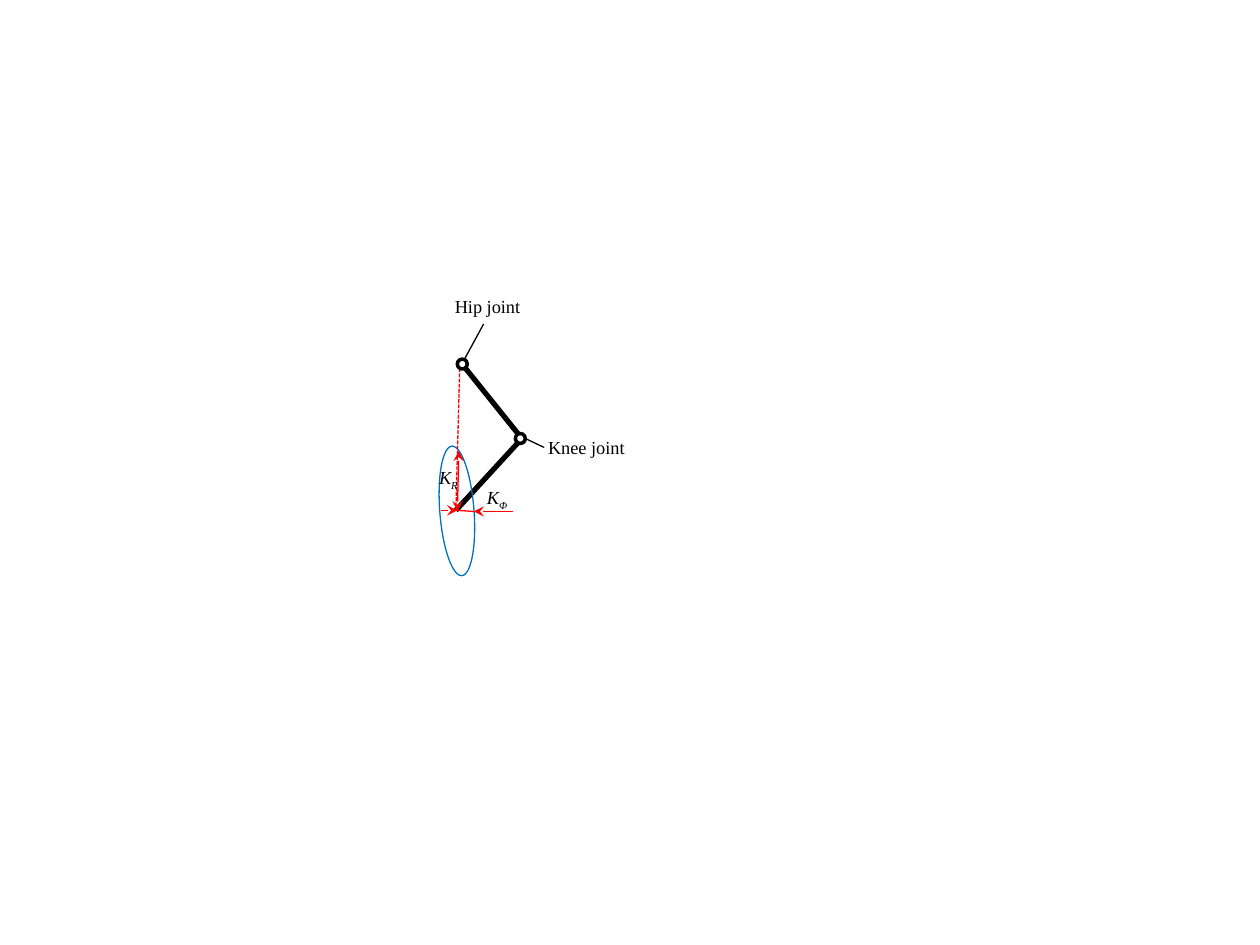
from dataclasses import dataclass
from typing import Optional

from lxml.etree import SubElement
from pptx import Presentation
from pptx.dml.color import RGBColor
from pptx.enum.dml import MSO_LINE as Dash
from pptx.enum.shapes import MSO_CONNECTOR as Connector, MSO_SHAPE as Shape
from pptx.enum.text import MSO_ANCHOR as Anchor, MSO_AUTO_SIZE as AutoSize, PP_ALIGN as Align
from pptx.oxml.ns import qn
from pptx.util import Cm, Pt

Point = tuple[float, float]


@dataclass(frozen=True)
class Theme:
    black: RGBColor = RGBColor(0, 0, 0)
    white: RGBColor = RGBColor(255, 255, 255)
    red: RGBColor = RGBColor(255, 0, 0)
    blue: RGBColor = RGBColor(0, 0x70, 0xC0)
    font: str = "Times New Roman"
    text_size: float = 10.5
    thin: float = 0.75
    joint_line: float = 2
    bone_line: float = 3


THEME = Theme()


@dataclass(frozen=True)
class Line:
    start: Point
    end: Point
    color: RGBColor = THEME.black
    width: float = THEME.thin
    dashed: bool = False
    arrows: tuple[str, ...] = ()


@dataclass(frozen=True)
class Oval:
    center: Point
    size: Point
    color: RGBColor
    width: float
    fill: Optional[RGBColor] = None
    rotation: float = 0


@dataclass(frozen=True)
class Label:
    text: str
    corner: Point
    size: Point
    inset: float = 0.08
    subscript: str = ""


def draw_line(page, item: Line) -> None:
    ends = [Cm(value) for value in item.start + item.end]
    line = page.shapes.add_connector(Connector.STRAIGHT, *ends)
    line.line.color.rgb = item.color
    line.line.width = Pt(item.width)
    if item.dashed:
        line.line.dash_style = Dash.SQUARE_DOT
    properties = line._element.spPr
    outline = properties.find(qn("a:ln"))
    for arrow in item.arrows:
        SubElement(outline, qn(f"a:{arrow}End"), type="stealth")
    SubElement(properties, qn("a:effectLst"))


def draw_oval(page, item: Oval) -> None:
    (x, y), (width, height) = item.center, item.size
    oval = page.shapes.add_shape(
        Shape.OVAL, Cm(x - width / 2), Cm(y - height / 2), Cm(width), Cm(height))
    oval.shadow.inherit = False
    oval.rotation = item.rotation
    oval.line.color.rgb = item.color
    oval.line.width = Pt(item.width)
    if item.fill is None:
        oval.fill.background()
    else:
        oval.fill.solid()
        oval.fill.fore_color.rgb = item.fill


def draw_label(page, item: Label) -> None:
    box = page.shapes.add_textbox(*[Cm(value) for value in item.corner + item.size])
    frame = box.text_frame
    frame.word_wrap = False
    frame.auto_size = AutoSize.SHAPE_TO_FIT_TEXT
    symbol = bool(item.subscript)
    frame.margin_left = Cm(item.inset)
    frame.margin_right = Cm(item.inset if symbol else 0)
    frame.margin_top = frame.margin_bottom = Cm(0 if symbol else 0.13)
    frame.vertical_anchor = Anchor.MIDDLE if symbol else Anchor.TOP
    para = frame.paragraphs[0]
    para.alignment = Align.CENTER if symbol else Align.LEFT
    para.font.name = THEME.font
    para.font.size = Pt(THEME.text_size)
    para.font.color.rgb = THEME.black
    para.font.italic = symbol
    para.add_run().text = item.text
    if symbol:
        span = para.add_run()
        span.text = item.subscript
        span._r.get_or_add_rPr().set("baseline", "-25000")


HIP: Point = (9.3, 7.32)
KNEE: Point = (10.52, 8.84)
FOOT: Point = (9.19, 10.29)
FOOT_SIDE: Point = (9.22, 10.29)
ELLIPSE_SIDE: Point = (9.55, 10.31)

BONES = [Line(joint, KNEE, width=THEME.bone_line) for joint in (HIP, FOOT)]
STIFFNESS_ELLIPSE = Oval((9.21, 10.3), (0.69, 2.62), THEME.blue, THEME.thin, rotation=355.6)
STIFFNESS_LINES = [
    Line((9.27, 7.32), FOOT, THEME.red, dashed=True),
    Line((9.25, 9.09), (9.22, 10.31), THEME.red, arrows=("head", "tail")),
    Line(ELLIPSE_SIDE, FOOT_SIDE, THEME.red),
    Line((10.34, 10.31), ELLIPSE_SIDE, THEME.red, arrows=("tail",)),
    Line(FOOT_SIDE, (8.89, 10.29), THEME.red, arrows=("head",)),
]
LABELS = [
    Label("K", (9.73, 9.83), (0.58, 0.46), subscript="Φ"),
    Label("K", (8.76, 9.42), (0.56, 0.46), subscript="R"),
    Label("Hip joint", (9.02, 5.82), (1.47, 0.71), inset=0.15),
    Label("Knee joint", (10.97, 8.66), (1.65, 0.71)),
]
LEADERS = [Line((9.32, 7.32), (9.75, 6.53)), Line((10.59, 8.84), (10.97, 9.02))]
JOINTS = [
    Oval(center, (0.2, 0.2), THEME.black, THEME.joint_line, THEME.white)
    for center in ((9.32, 7.34), (10.49, 8.84))
]


def main() -> None:
    deck = Presentation()
    deck.slide_width, deck.slide_height = Cm(25.4), Cm(19.05)
    page = deck.slides.add_slide(deck.slide_layouts[6])
    for bone in BONES:
        draw_line(page, bone)
    draw_oval(page, STIFFNESS_ELLIPSE)
    for line in STIFFNESS_LINES:
        draw_line(page, line)
    for label in LABELS:
        draw_label(page, label)
    for leader in LEADERS:
        draw_line(page, leader)
    for joint in JOINTS:
        draw_oval(page, joint)
    deck.save("out.pptx")


if __name__ == "__main__":
    main()
